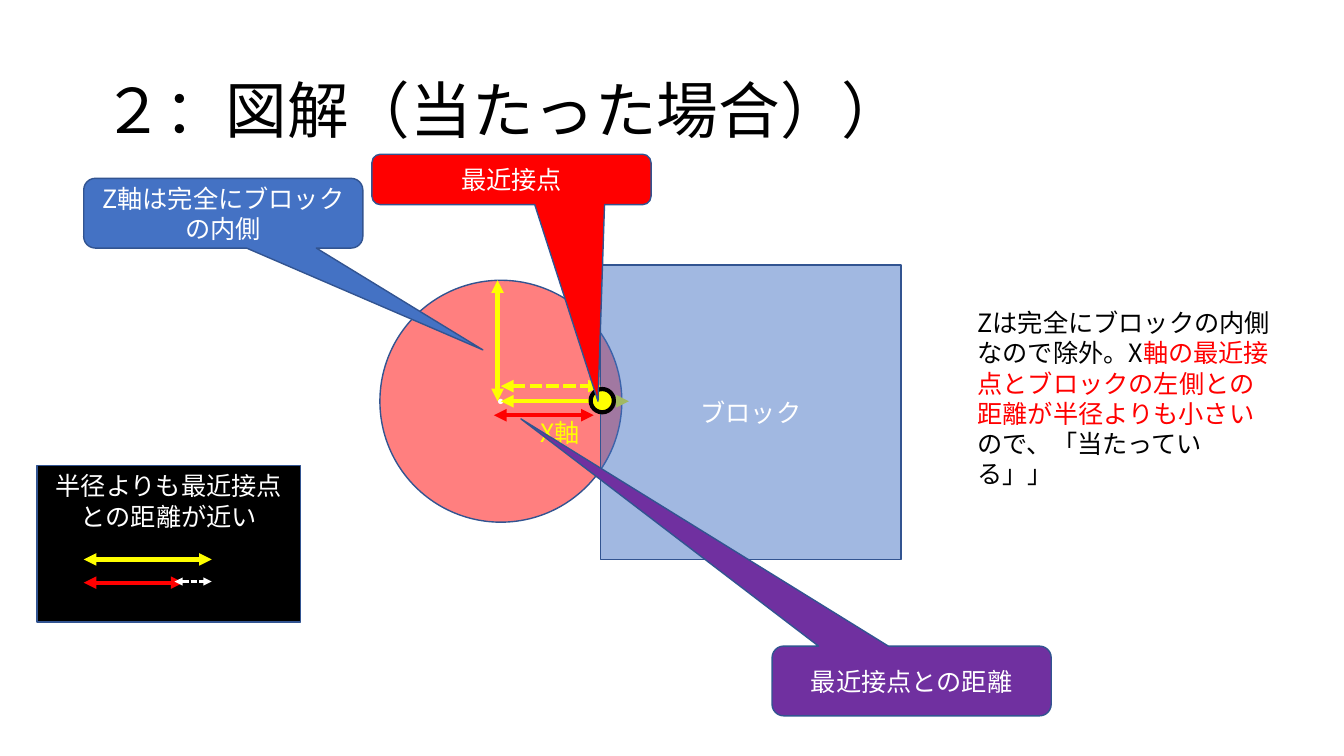
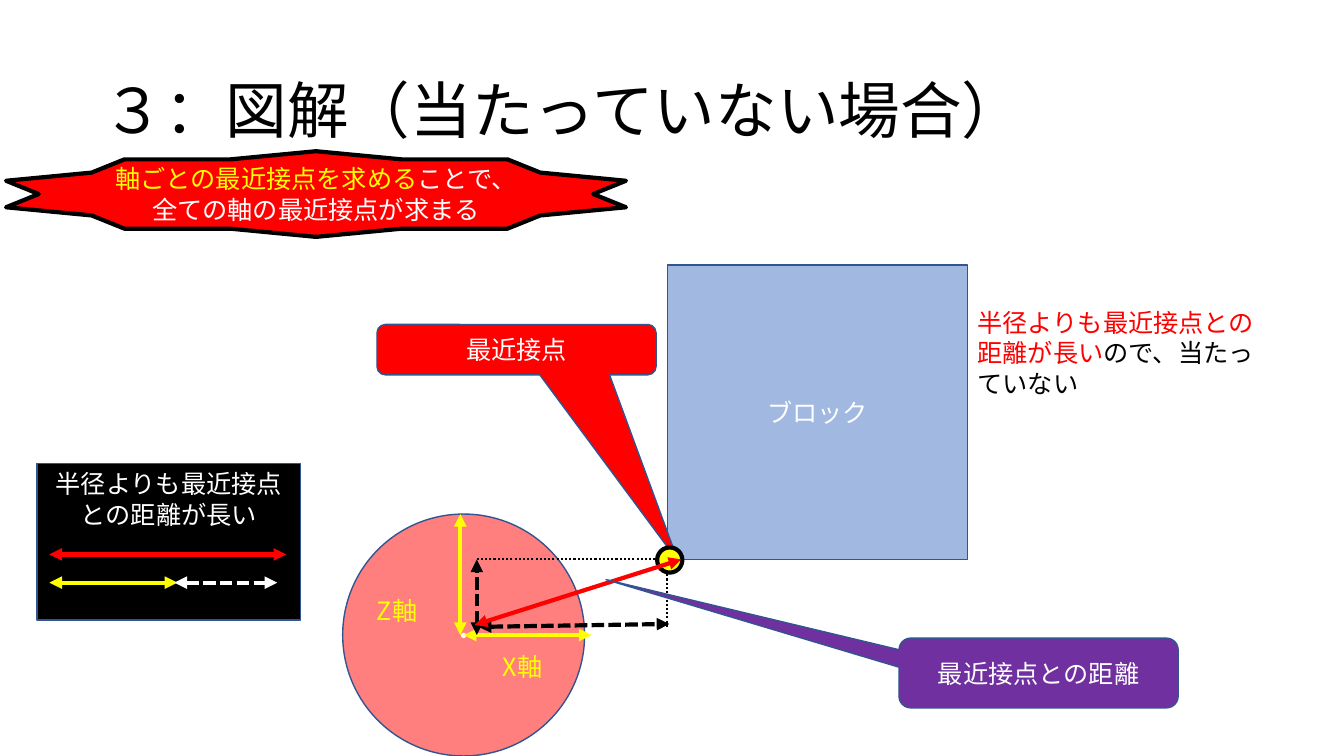
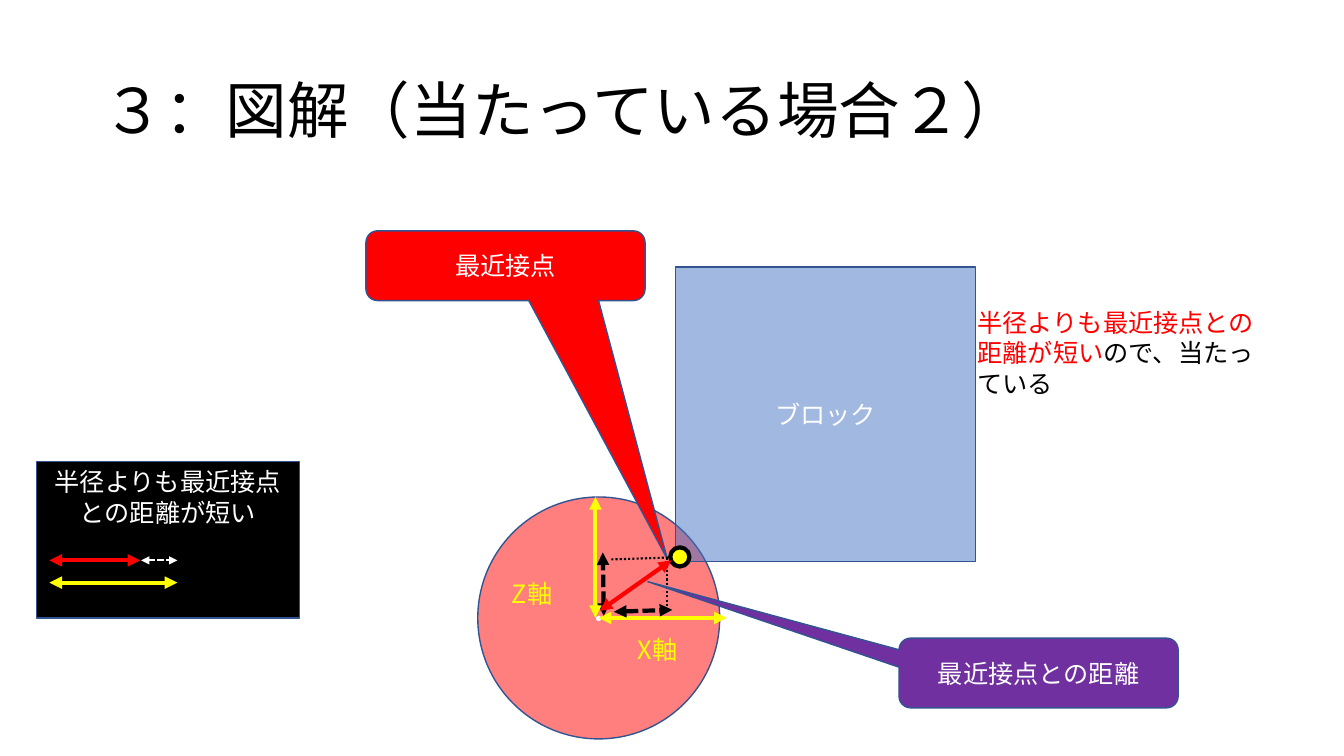
from lxml.etree import SubElement
from pptx import Presentation
from pptx.dml.color import RGBColor
from pptx.enum.dml import MSO_LINE
from pptx.enum.shapes import MSO_CONNECTOR, MSO_SHAPE
from pptx.enum.text import MSO_ANCHOR, PP_ALIGN
from pptx.oxml.ns import qn
from pptx.util import Pt

FONT = "Noto Sans CJK JP"
BLACK, WHITE, RED, YELLOW = "000000", "FFFFFF", "FF0000", "FFFF00"
BLUE, PURPLE, OUTLINE = "4472C4", "7030A0", "325491"
DASH, DOT = MSO_LINE.SQUARE_DOT, MSO_LINE.ROUND_DOT

RADIUS = 86.4
AXIS_LENGTH = 91.4
BLOCK_SIZE = (214.6, 210.2)
LEGEND_SIZE = (188, 111.6)
CALLOUT_WIDTH, CALLOUT_HEIGHT, LOW_CALLOUT_HEIGHT = 199.4, 49.8, 36


def rgb(colour):
    return RGBColor.from_string(colour)


def write_text(shape, paragraphs, size=18, align=PP_ALIGN.LEFT, anchor=MSO_ANCHOR.TOP):
    """Fill a shape with paragraphs, each a list of (text, colour) runs."""
    frame = shape.text_frame
    frame.word_wrap = True
    frame.vertical_anchor = anchor
    for index, runs in enumerate(paragraphs):
        paragraph = frame.add_paragraph() if index else frame.paragraphs[0]
        paragraph.alignment = align
        paragraph.font.size = Pt(size)
        paragraph.font.color.rgb = rgb(runs[0][1])
        paragraph.font.name = FONT
        defaults = paragraph.font._element
        SubElement(defaults, qn("a:ea")).set("typeface", FONT)
        for text, colour in runs:
            run = paragraph.add_run()
            run.text = text
            if colour != runs[0][1]:
                run.font.color.rgb = rgb(colour)


def add_text(slide, left, top, width, height, runs, **style):
    box = slide.shapes.add_textbox(Pt(left), Pt(top), Pt(width), Pt(height))
    write_text(box, [runs], **style)
    return box


def add_figure(slide, kind, left, top, width, height, fill,
               outline=OUTLINE, weight=1, opacity=None):
    shape = slide.shapes.add_shape(kind, Pt(left), Pt(top), Pt(width), Pt(height))
    shape.shadow.inherit = False
    shape.fill.solid()
    shape.fill.fore_color.rgb = rgb(fill)
    if opacity:
        colour = shape.element.spPr.find(qn("a:solidFill")).find(qn("a:srgbClr"))
        SubElement(colour, qn("a:alpha")).set("val", str(opacity * 1000))
    shape.line.color.rgb = rgb(outline)
    shape.line.width = Pt(weight)
    return shape


def write_centred(shape, text):
    write_text(shape, [[(text, WHITE)]], align=PP_ALIGN.CENTER, anchor=MSO_ANCHOR.MIDDLE)


def add_line(slide, start, end, colour, weight=3, dash=None, arrows=True):
    line = slide.shapes.add_connector(
        MSO_CONNECTOR.STRAIGHT, *(Pt(value) for value in (*start, *end)))
    line.line.color.rgb = rgb(colour)
    line.line.width = Pt(weight)
    if dash:
        line.line.dash_style = dash
    if arrows:
        outline = line.line._get_or_add_ln()
        for tag in ("a:headEnd", "a:tailEnd"):
            SubElement(outline, qn(tag)).set("type", "triangle")
    SubElement(line.element.spPr, qn("a:effectLst"))


def add_guide(slide, start, end):
    add_line(slide, start, end, BLACK, 1.5, DOT, arrows=False)


def add_callout(slide, left, top, text, fill, tip, height=CALLOUT_HEIGHT):
    """Add a speech bubble; tip is the pointer's offset in bubble widths and heights."""
    callout = add_figure(slide, MSO_SHAPE.ROUNDED_RECTANGULAR_CALLOUT,
                         left, top, CALLOUT_WIDTH, height, fill)
    callout.adjustments[0], callout.adjustments[1] = tip
    write_centred(callout, text)


def add_nearest_callout(slide, left, top, tip, height=LOW_CALLOUT_HEIGHT):
    add_callout(slide, left, top, "最近接点", RED, tip, height)


def add_distance_callout(slide, left, top, tip):
    add_callout(slide, left, top, "最近接点との距離", PURPLE, tip)


def add_ball_and_block(slide, centre, corner):
    x, y = centre
    ball = add_figure(slide, MSO_SHAPE.OVAL, x - RADIUS, y - RADIUS,
                      2 * RADIUS, 2 * RADIUS, RED, opacity=50)
    write_centred(ball, "・")
    add_line(slide, centre, (x + AXIS_LENGTH, y), YELLOW)
    block = add_figure(slide, MSO_SHAPE.RECTANGLE, *corner, *BLOCK_SIZE, BLUE, opacity=50)
    write_centred(block, "ブロック")


def add_axis_marks(slide, centre, z_label=True):
    """Add the upright radius arrow and the axis names."""
    x, y = centre
    add_line(slide, (x - 2.4, y - RADIUS), (x - 2.4, y), YELLOW)
    add_text(slide, x + 20.9, y + 8, 45.4, 28.8, [("X軸", YELLOW)])
    if z_label:
        add_text(slide, x - 69.1, y - 31.7, 45.4, 28.8, [("Z軸", YELLOW)])


def add_nearest_point(slide, x, y, size):
    add_figure(slide, MSO_SHAPE.OVAL, x - size / 2, y - size / 2, size, size,
               YELLOW, BLACK, 3)


def add_legend(slide, left, top, text, bars):
    """Add the black comparison box; bars are (start x, end x, y, colour, weight, dash)."""
    box = add_figure(slide, MSO_SHAPE.RECTANGLE, left, top, *LEGEND_SIZE, BLACK)
    write_text(box, [[(text, WHITE)]], align=PP_ALIGN.CENTER)
    for start, end, y, *style in bars:
        add_line(slide, (start, y), (end, y), *style)


def add_conclusion(slide, *runs):
    add_text(slide, 691.2, 216, 225.4, 72.7, runs)


def add_titled_slide(presentation, title):
    slide = presentation.slides.add_slide(presentation.slide_layouts[6])
    box = add_text(slide, 66.2, 28.8, 828, 104.4, [(title, BLACK)],
                   size=44, anchor=MSO_ANCHOR.MIDDLE)
    box.text_frame.paragraphs[0].line_spacing = 0.9
    return slide


def build_hit_slide(presentation):
    slide = add_titled_slide(presentation, "２：図解（当たった場合））")
    centre = (357.8, 286.6)
    add_ball_and_block(slide, centre, (429.1, 189.4))
    add_line(slide, (357.8, 275.8), (429.1, 275.8), YELLOW, dash=DASH)
    add_axis_marks(slide, centre, z_label=False)
    add_callout(slide, 59.8, 127.4, "Z軸は完全にブロックの内側", BLUE, (0.93, 1.96))
    add_conclusion(slide, ("Zは完全にブロックの内側なので除外。X", BLACK),
                   ("軸の最近接点とブロックの左側との距離が半径よりも小さい", RED),
                   ("ので、「当たっている」」", BLACK))
    add_nearest_point(slide, 430.2, 286.2, 16.6)
    add_nearest_callout(slide, 265.7, 110.2, (0.31, 4.4))
    add_line(slide, (352.8, 296.6), (424.1, 296.6), RED)
    add_legend(slide, 26.6, 332.6, "半径よりも最近接点との距離が近い", [
        (59.8, 151.2, 399.6, YELLOW),
        (59.8, 131, 416.2, RED),
        (124.6, 151.2, 415.4, WHITE, 1.5, DASH)])
    add_distance_callout(slide, 551.5, 461.5, (-1.4, -3.76))


def build_miss_slide(presentation):
    slide = add_titled_slide(presentation, "３：図解（当たっていない場合）")
    centre = (331.2, 453.6)
    add_ball_and_block(slide, centre, (476.6, 189.4))
    add_line(slide, (340.6, 453.6), (340.6, 399.6), BLACK, dash=DASH)
    add_axis_marks(slide, centre)
    add_nearest_callout(slide, 269.3, 231.8, (0.58, 4.21))
    add_conclusion(slide, ("半径よりも最近接点との距離が長い", RED),
                   ("ので、当たっていない", BLACK))
    add_guide(slide, (480.2, 399.6), (340.6, 399.6))
    add_line(slide, (342, 447.8), (478.1, 445.7), BLACK, dash=DASH)
    add_guide(slide, (476.6, 398.2), (476.6, 447.8))
    add_nearest_point(slide, 478.4, 400, 18)
    add_line(slide, (339.1, 446.4), (486.7, 399.6), RED)
    add_distance_callout(slide, 642.2, 455.8, (-1.55, -1.34))
    add_legend(slide, 26.6, 331.2, "半径よりも最近接点との距離が長い", [
        (35.3, 204.5, 396, RED),
        (35.3, 126.7, 416.2, YELLOW),
        (124.6, 198, 416.2, WHITE, 3, DASH)])
    star = add_figure(slide, MSO_SHAPE.STAR_10_POINT, 4.3, 108, 442.8, 61.2, RED, BLACK, 3)
    write_text(star, [[("軸ごとの最近接点を求める", YELLOW), ("ことで、", WHITE)],
                      [("全ての軸の最近接点が求まる", WHITE)]],
               align=PP_ALIGN.CENTER, anchor=MSO_ANCHOR.MIDDLE)


def build_corner_hit_slide(presentation):
    slide = add_titled_slide(presentation, "３：図解（当たっている場合２）")
    centre = (427.7, 441.4)
    add_ball_and_block(slide, centre, (482.4, 190.8))
    add_line(slide, (431.3, 439.9), (430.6, 394.6), BLACK, dash=DASH)
    add_axis_marks(slide, centre)
    add_nearest_callout(slide, 261.4, 164.9, (0.58, 4.21), CALLOUT_HEIGHT)
    add_conclusion(slide, ("半径よりも最近接点との距離が短い", RED),
                   ("ので、当たっている", BLACK))
    add_guide(slide, (480.2, 398.2), (436.3, 399.6))
    add_line(slide, (438.5, 437), (480.2, 435.6), BLACK, dash=DASH)
    add_guide(slide, (476.6, 398.2), (476.6, 436.3))
    add_nearest_point(slide, 485.6, 397.8, 13.7)
    add_line(slide, (428.4, 436.3), (479.5, 400.3), RED)
    add_legend(slide, 25.9, 329.8, "半径よりも最近接点との距離が短い", [
        (35.3, 126.7, 416.2, YELLOW),
        (35.3, 100.1, 400.3, RED),
        (100.8, 126.7, 400.3, WHITE, 1.5, DASH)])
    add_distance_callout(slide, 642.2, 455.8, (-1.4, -1.31))


def main():
    presentation = Presentation()
    presentation.slide_width, presentation.slide_height = Pt(960), Pt(540)
    build_hit_slide(presentation)
    build_miss_slide(presentation)
    build_corner_hit_slide(presentation)
    presentation.save("out.pptx")


if __name__ == "__main__":
    main()
